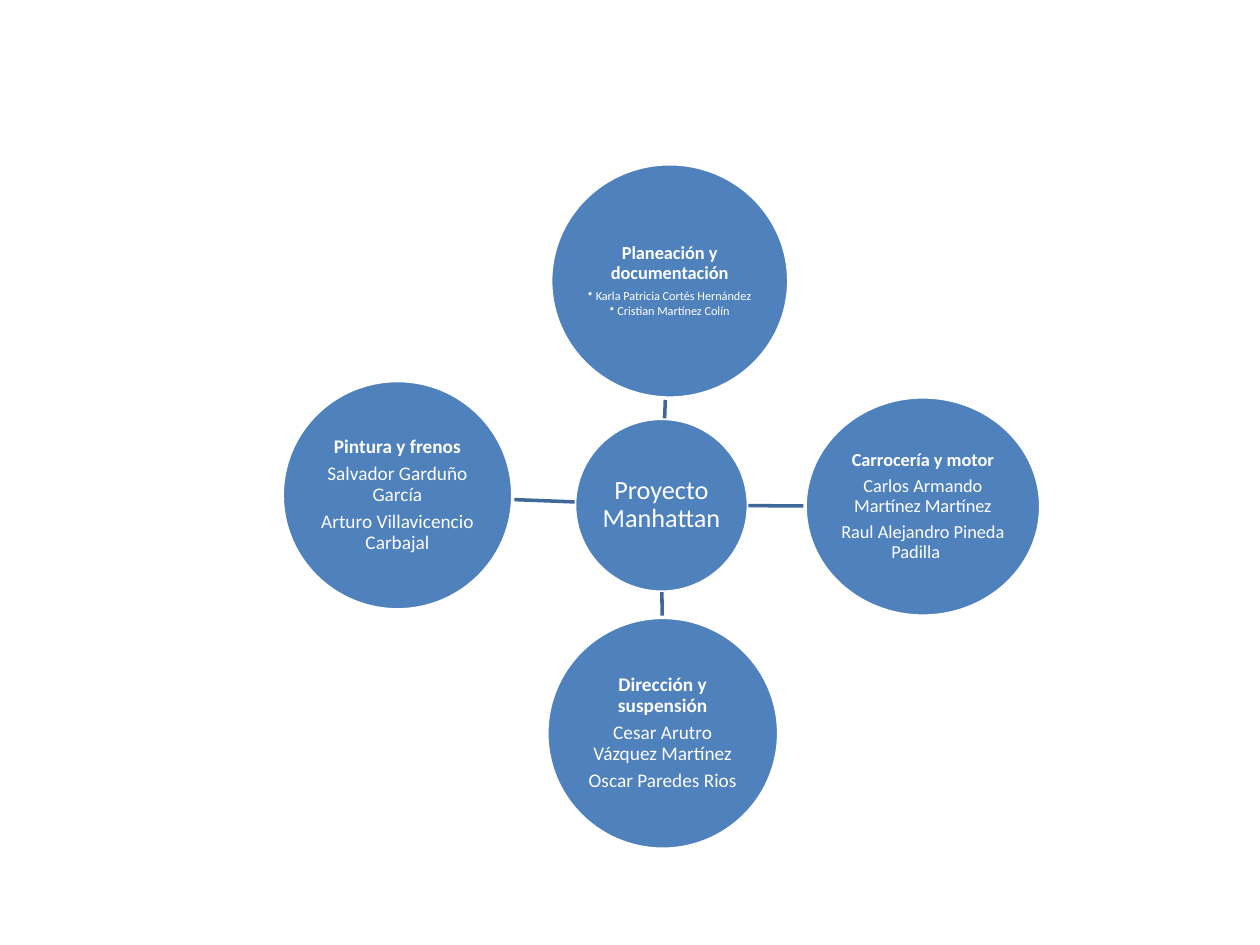
from dataclasses import dataclass
from math import hypot

from lxml import etree
from pptx import Presentation
from pptx.dml.color import RGBColor
from pptx.enum.shapes import MSO_CONNECTOR, MSO_SHAPE
from pptx.enum.text import MSO_ANCHOR, PP_ALIGN
from pptx.oxml.ns import qn
from pptx.util import Inches, Pt

ELLIPSE = MSO_SHAPE.OVAL
STRAIGHT = MSO_CONNECTOR.STRAIGHT
MIDDLE = MSO_ANCHOR.MIDDLE
CENTER = PP_ALIGN.CENTER

WIDTH, HEIGHT = Inches(10), Inches(7.5)
COLUMN, ROW = WIDTH / 100, HEIGHT / 75
BLANK_LAYOUT = 6


@dataclass(frozen=True)
class Theme:
    font: str = "Calibri"
    circle: RGBColor = RGBColor(0x4F, 0x81, 0xBD)
    spoke: RGBColor = RGBColor(0x3F, 0x67, 0x97)
    white: RGBColor = RGBColor(0xFF, 0xFF, 0xFF)
    stroke: float = 2
    hub: float = 15
    team: float = 10.5
    large_team: float = 11
    bullet: float = 7
    inset: float = 0.01
    line_spacing: float = 0.9
    gap: float = 0.35
    bullet_gap: float = 0.15
    bullet_indent: float = 0.06


THEME = Theme()

HUB = (45.6, 33.2, 13.8, 13.8)

TEAMS = [
    ((43.7, 13.0, 18.9, 18.6), THEME.team, True, "Planeación y documentación",
     ["Karla Patricia Cortés Hernández", "Cristian Martínez Colín"]),
    ((63.9, 31.5, 18.7, 17.4), THEME.team, False, "Carrocería y motor",
     ["Carlos Armando Martínez Martínez", "Raul Alejandro Pineda Padilla\t"]),
    ((43.4, 49.0, 18.4, 18.4), THEME.large_team, False, "Dirección y suspensión",
     ["Cesar Arutro Vázquez Martínez", "Oscar Paredes Rios"]),
    ((22.4, 30.2, 18.3, 18.2), THEME.large_team, False, "Pintura y frenos",
     ["Salvador Garduño García", "Arturo Villavicencio Carbajal"]),
]


def apply_format(target, values):
    for attribute, value in values.items():
        setattr(target, attribute, value)


def center(box):
    left, top, width, height = box
    return left + width / 2, top + height / 2


def edge_toward(box, goal):
    x, y = center(box)
    dx, dy = goal[0] - x, goal[1] - y
    reach = 1 / hypot(dx / (box[2] / 2), dy / (box[3] / 2))
    return round((x + dx * reach) * COLUMN), round((y + dy * reach) * ROW)


def add_bullet(paragraph):
    properties = paragraph._p.get_or_add_pPr()
    indent = Inches(THEME.bullet_indent)
    properties.set("marL", str(indent))
    properties.set("indent", str(-indent))
    etree.SubElement(properties, qn("a:buChar")).set("char", "•")


def write_line(paragraph, text, size, bold=False, bulleted=False):
    gap = THEME.bullet_gap if bulleted else THEME.gap
    apply_format(paragraph, {
        "alignment": CENTER,
        "line_spacing": THEME.line_spacing,
        "space_after": Pt(size * gap),
    })
    if bulleted:
        paragraph.level = 1
        add_bullet(paragraph)
    run = paragraph.add_run()
    run.text = text
    apply_format(run.font, {"name": THEME.font, "size": Pt(size), "bold": bold})
    run.font.color.rgb = THEME.white


def add_circle(slide, box, lines):
    left, top, width, height = box
    circle = slide.shapes.add_shape(
        ELLIPSE, round(left * COLUMN), round(top * ROW),
        round(width * COLUMN), round(height * ROW))
    circle.shadow.inherit = False
    circle.fill.solid()
    circle.fill.fore_color.rgb = THEME.circle
    circle.line.color.rgb = THEME.white
    circle.line.width = Pt(THEME.stroke)
    frame = circle.text_frame
    inset = Inches(THEME.inset)
    apply_format(frame, {
        "word_wrap": True, "vertical_anchor": MIDDLE,
        "margin_left": inset, "margin_right": inset,
        "margin_top": inset, "margin_bottom": inset,
    })
    for index, line in enumerate(lines):
        paragraph = frame.add_paragraph() if index else frame.paragraphs[0]
        write_line(paragraph, **line)


def add_spoke(slide, box):
    start = edge_toward(HUB, center(box))
    end = edge_toward(box, center(HUB))
    spoke = slide.shapes.add_connector(STRAIGHT, *start, *end)
    spoke.line.color.rgb = THEME.spoke
    spoke.line.width = Pt(THEME.stroke)
    etree.SubElement(spoke._element.spPr, qn("a:effectLst"))


def add_team(slide, box, size, bulleted, area, members):
    member_size = THEME.bullet if bulleted else size
    heading = {"text": area, "size": size, "bold": True}
    names = [{"text": member, "size": member_size, "bulleted": bulleted}
             for member in members]
    add_spoke(slide, box)
    add_circle(slide, box, [heading, *names])


def main():
    presentation = Presentation()
    apply_format(presentation, {"slide_width": WIDTH, "slide_height": HEIGHT})
    slide = presentation.slides.add_slide(presentation.slide_layouts[BLANK_LAYOUT])
    add_circle(slide, HUB, [{"text": "Proyecto Manhattan", "size": THEME.hub}])
    for team in TEAMS:
        add_team(slide, *team)
    presentation.save("out.pptx")


main()
